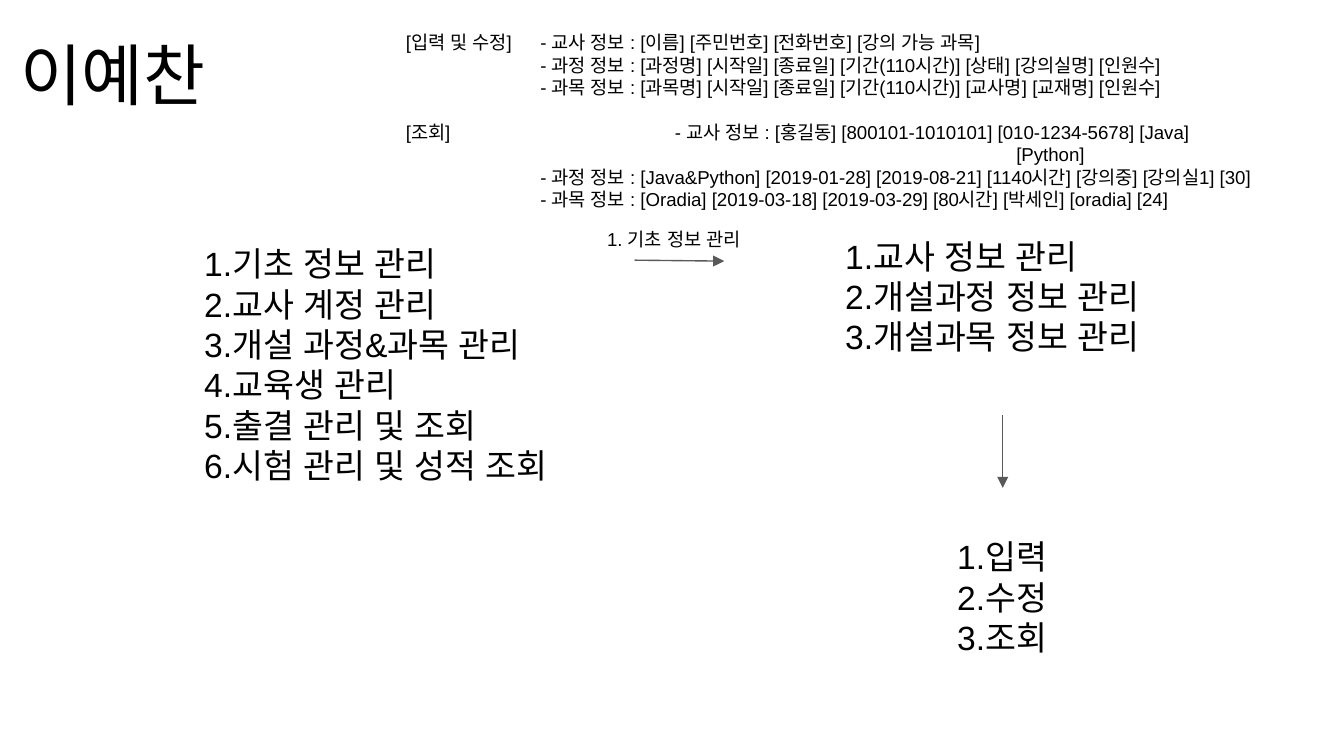
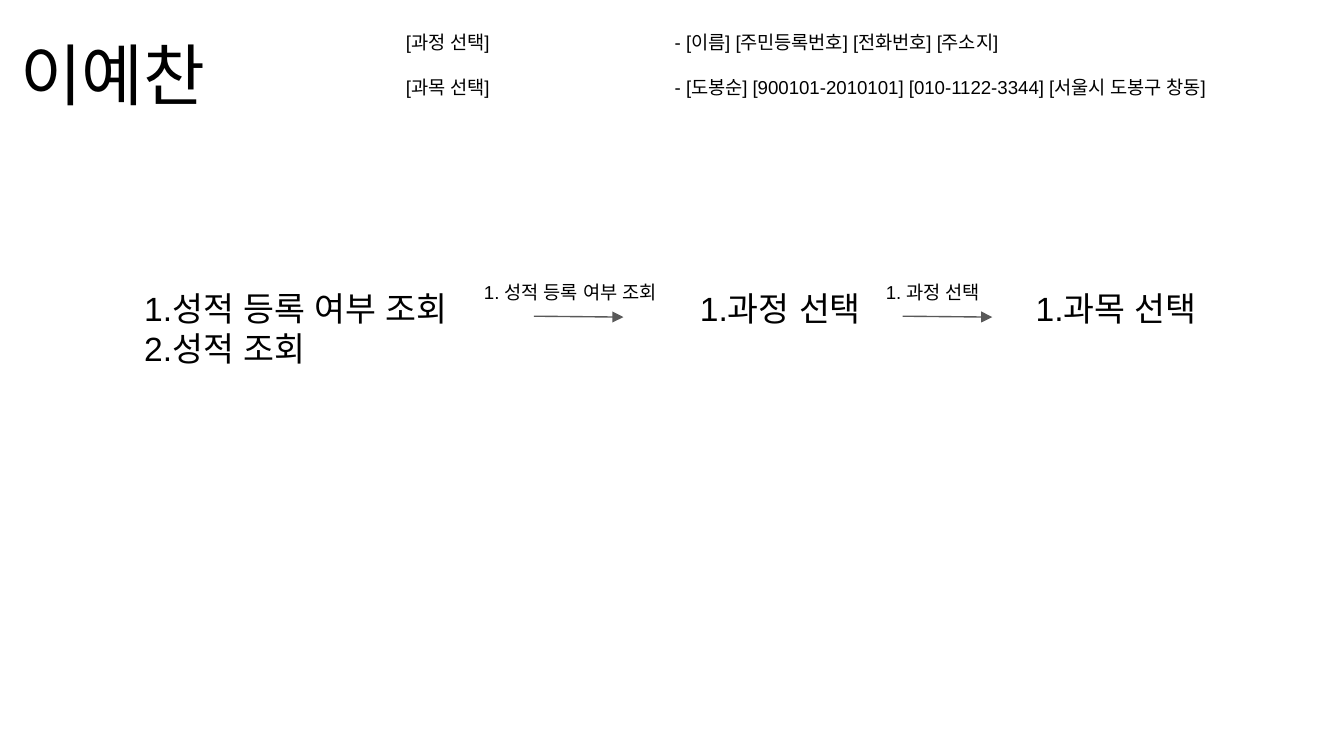
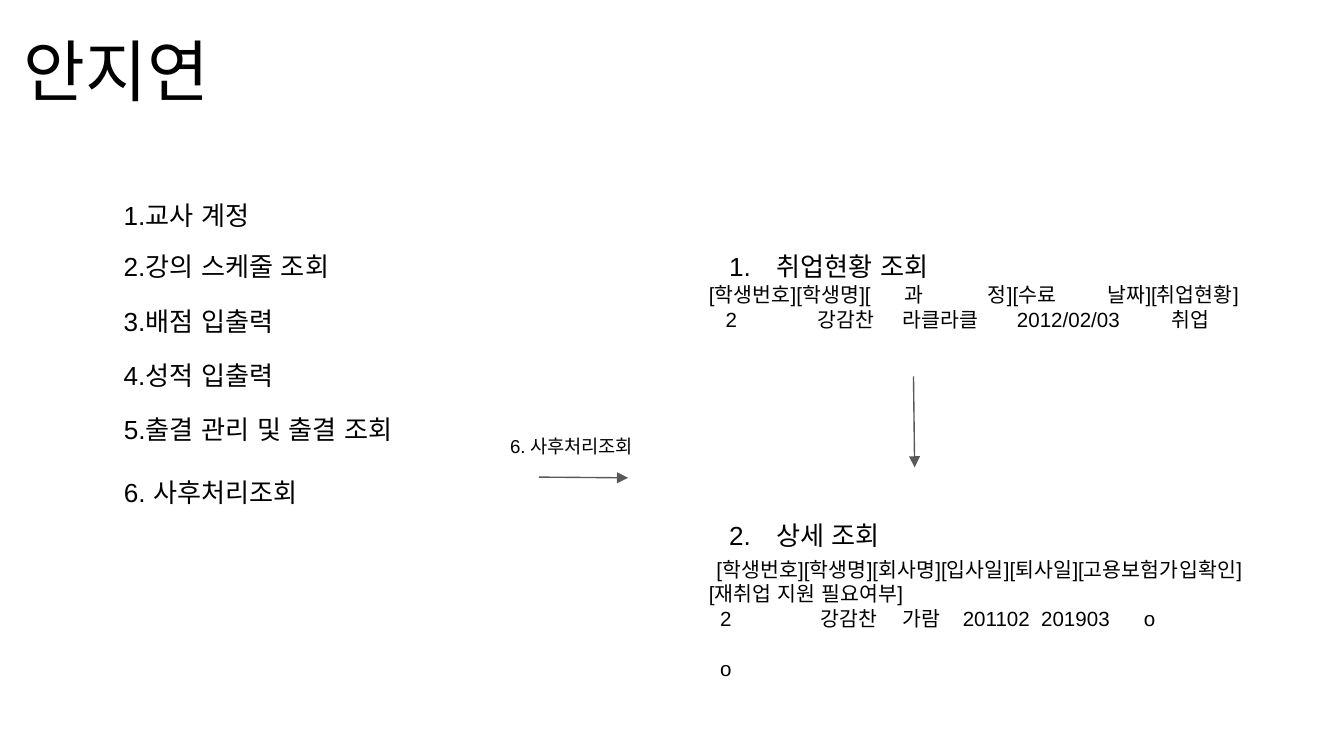
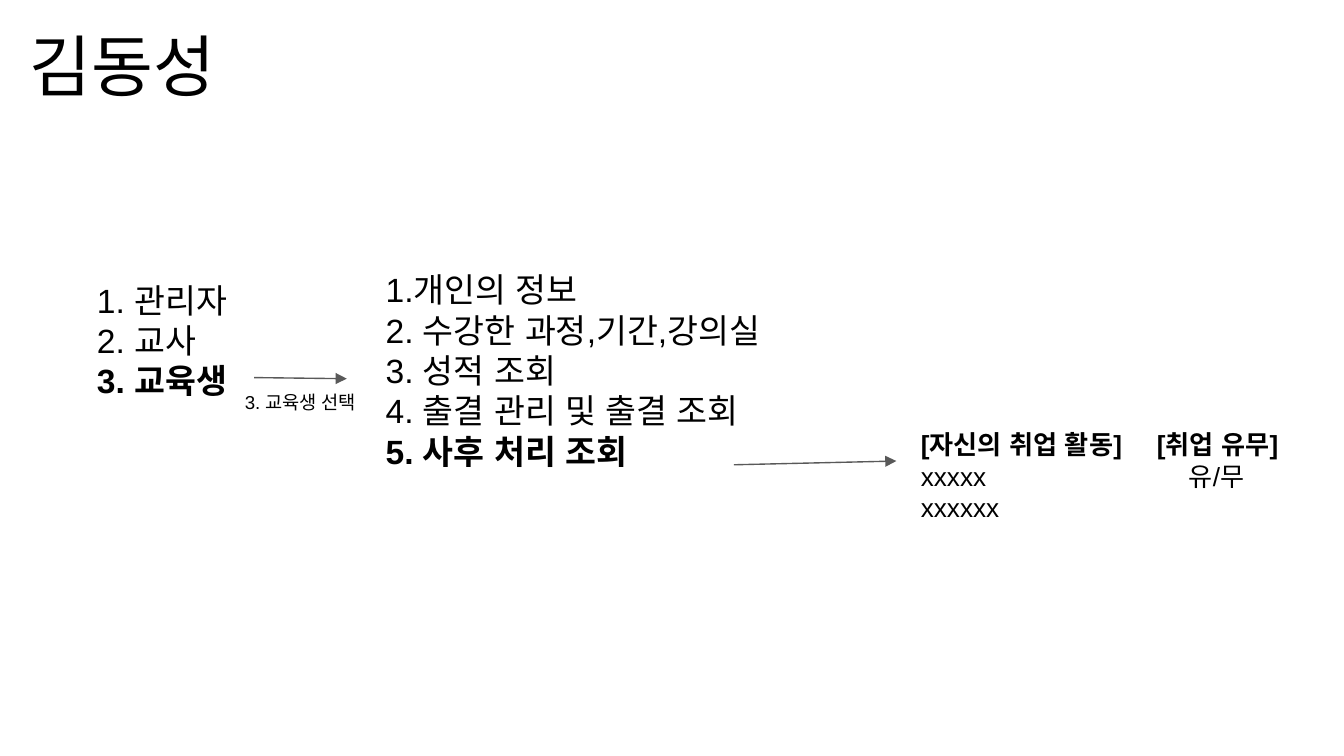
from dataclasses import dataclass

from lxml.etree import SubElement
from pptx import Presentation
from pptx.dml.color import RGBColor
from pptx.enum.shapes import MSO_CONNECTOR
from pptx.enum.text import MSO_ANCHOR, MSO_AUTO_SIZE, PP_ALIGN
from pptx.oxml.ns import qn
from pptx.util import Pt

BLACK = RGBColor(0x00, 0x00, 0x00)
GREY = RGBColor(0x59, 0x59, 0x59)
WHITE = RGBColor(0xFF, 0xFF, 0xFF)
FONT = "Arial"
INSET = 7.2
TITLE_SIZE = 36
MENU_SIZE = 18
ITEM_SIZE = 14
TABLE_SIZE = 11
NOTE_SIZE = 10
NOTE_TABS = (72, 144)
MENU_WIDTH = 206.6
LABEL_WIDTH = 191.5
LABEL_HEIGHT = 24.5


@dataclass
class Line:
    text: str
    size: float = MENU_SIZE
    bold: bool = False
    left: float = 0
    first: float = 0
    before: float = 0
    tabs: tuple = ()
    number: int = 0
    align: PP_ALIGN = PP_ALIGN.LEFT


def format_paragraph(paragraph, line):
    paragraph.text = line.text
    paragraph.alignment = line.align
    paragraph.line_spacing = 1.0
    paragraph.space_before = Pt(line.before)
    paragraph.space_after = Pt(0)
    font = paragraph.font
    font.size = Pt(line.size)
    font.bold = line.bold
    font.color.rgb = BLACK
    font.name = FONT

    properties = paragraph._p.get_or_add_pPr()
    defaults = properties.find(qn("a:defRPr"))
    SubElement(defaults, qn("a:ea")).set("typeface", FONT)
    if line.number:
        bullet = SubElement(properties, qn("a:buAutoNum"))
        bullet.set("type", "arabicPeriod")
        bullet.set("startAt", str(line.number))
    else:
        bullet = SubElement(properties, qn("a:buNone"))
    defaults.addprevious(bullet)
    if line.tabs:
        tab_list = SubElement(properties, qn("a:tabLst"))
        for position in line.tabs:
            tab = SubElement(tab_list, qn("a:tab"))
            tab.set("pos", str(Pt(position)))
            tab.set("algn", "l")
        defaults.addprevious(tab_list)
    else:
        properties.set("marL", str(Pt(line.left)))
        properties.set("indent", str(Pt(line.first)))


def fill_text(shape, box, lines, anchor=MSO_ANCHOR.TOP):
    shape.left, shape.top, shape.width, shape.height = map(Pt, box)
    frame = shape.text_frame
    frame.word_wrap = True
    frame.auto_size = MSO_AUTO_SIZE.NONE
    frame.vertical_anchor = anchor
    frame.margin_left = frame.margin_right = Pt(INSET)
    frame.margin_top = frame.margin_bottom = Pt(INSET)
    for index, line in enumerate(lines):
        paragraph = frame.add_paragraph() if index else frame.paragraphs[0]
        format_paragraph(paragraph, line)


def add_text(slide, box, lines):
    fill_text(slide.shapes.add_textbox(*map(Pt, box)), box, lines)


def add_label(slide, left, top, text, width=LABEL_WIDTH, height=LABEL_HEIGHT):
    add_text(slide, (left, top, width, height), [Line(text, NOTE_SIZE, left=36)])


def add_arrow(slide, start, end):
    arrow = slide.shapes.add_connector(
        MSO_CONNECTOR.STRAIGHT, *map(Pt, start), *map(Pt, end)
    )
    arrow.line.color.rgb = GREY
    arrow.line.width = Pt(0.75)
    SubElement(arrow.line._get_or_add_ln(), qn("a:tailEnd")).set("type", "triangle")
    SubElement(arrow._element.spPr, qn("a:effectLst"))


def add_slide(presentation, name, title_box, body_box, body_lines, align=PP_ALIGN.LEFT):
    slide = presentation.slides.add_slide(presentation.slide_layouts[1])
    title_line = Line(name, TITLE_SIZE, align=align)
    fill_text(slide.shapes.title, title_box, [title_line], MSO_ANCHOR.BOTTOM)
    fill_text(slide.placeholders[1], body_box, body_lines)
    return slide


def menu(*texts):
    return [Line(text) for text in texts]


def note(text, **options):
    return Line(text, NOTE_SIZE, **options)


def note_item(text):
    return note(text, left=36, first=36)


def build_basic_information(presentation, title_box):
    slide = add_slide(
        presentation, "이예찬", title_box, (102.2, 123.1, 275.8, 188.6),
        menu("1.기초 정보 관리", "2.교사 계정 관리", "3.개설 과정&과목 관리",
             "4.교육생 관리", "5.출결 관리 및 조회", "6.시험 관리 및 성적 조회"),
    )
    add_text(slide, (445.7, 119, MENU_WIDTH, 80.6),
             menu("1.교사 정보 관리", "2.개설과정 정보 관리", "3.개설과목 정보 관리"))
    add_text(slide, (505.7, 280.1, MENU_WIDTH, 80.6),
             menu("1.입력", "2.수정", "3.조회"))
    add_label(slide, 282.2, 114.8, "1. 기초 정보 관리")
    add_arrow(slide, (340, 139.4), (388, 139.9))
    add_arrow(slide, (537.2, 222.5), (537.2, 261.4))
    add_text(slide, (210.4, 9.4, 502.6, 109.4), [
        note("[입력 및 수정]\t- 교사 정보 : [이름] [주민번호] [전화번호] [강의 가능 과목]", tabs=NOTE_TABS),
        note_item("- 과정 정보 : [과정명] [시작일] [종료일] [기간(110시간)] [상태] [강의실명] [인원수]"),
        note_item("- 과목 정보 : [과목명] [시작일] [종료일] [기간(110시간)] [교사명] [교재명] [인원수]"),
        note("[조회]\t\t- 교사 정보 : [홍길동] [800101-1010101] [010-1234-5678] [Java]",
             before=12, tabs=NOTE_TABS),
        note("[Python]", left=327),
        note_item("- 과정 정보 : [Java&Python] [2019-01-28] [2019-08-21] [1140시간] [강의중] [강의실1] [30]"),
        note_item("- 과목 정보 : [Oradia] [2019-03-18] [2019-03-29] [80시간] [박세인] [oradia] [24]"),
    ])


def build_grade_check(presentation, title_box):
    menu_top = 147
    slide = add_slide(
        presentation, "이예찬", title_box, (70, menu_top, MENU_WIDTH, 80.6),
        menu("1.성적 등록 여부 조회", "2.성적 조회"),
    )
    for left, text in ((367.9, "1.과정 선택"), (547.7, "1.과목 선택")):
        add_text(slide, (left, menu_top, MENU_WIDTH, 43.2), menu(text))
    steps = ((216.2, 286, "1. 성적 등록 여부 조회"), (431.5, 483.6, "1. 과정 선택"))
    for label_left, arrow_left, text in steps:
        add_label(slide, label_left, 143.3, text)
        add_arrow(slide, (arrow_left, 169.4), (arrow_left + 48, 169.9))
    add_text(slide, (210.4, 9.4, 515.5, 58.3), [
        note("[과정 선택]\t\t- [이름] [주민등록번호] [전화번호] [주소지]", tabs=NOTE_TABS),
        note("[과목 선택]\t\t- [도봉순] [900101-2010101] [010-1122-3344] [서울시 도봉구 창동]",
             before=12, tabs=NOTE_TABS),
    ])


def build_employment(presentation):
    item_left, item_width, item_height = 59.2, 200.9, 27.4
    slide = add_slide(
        presentation, "안지연", (0, 3.6, 124.6, 62.6),
        (item_left, 214.3, item_width, item_height),
        [Line("5.출결 관리 및 출결 조회", ITEM_SIZE),
         Line("6. 사후처리조회", ITEM_SIZE, before=16.8)],
        PP_ALIGN.CENTER,
    )
    items = (
        (99.8, "1.교사 계정"),
        (127.1, "2.강의 스케줄 조회"),
        (156.2, "3.배점 입출력"),
        (185.2, "4.성적 입출력"),
    )
    for top, text in items:
        add_text(slide, (item_left, top, item_width, item_height), [Line(text, ITEM_SIZE)])

    numbered = {"size": ITEM_SIZE, "left": 36, "first": -25.2}
    detail_tabs = (6, 60, 103.5, 136, 178, 233)
    add_text(slide, (372.7, 127.1, 355, 27.4), [
        Line("취업현황 조회", number=1, **numbered),
        Line("[학생번호][학생명][\t과\t정][수료\t날짜][취업현황]",
             TABLE_SIZE, tabs=(105, 149.5, 213.5)),
        Line("\t2\t강감찬\t라클라클\t2012/02/03\t취업",
             TABLE_SIZE, tabs=(9, 58, 103.5, 165, 248)),
        Line("상세 조회", number=2, before=100.8, **numbered),
        Line("[학생번호][학생명][회사명][입사일][퇴사일][고용보험가입확인]",
             TABLE_SIZE, first=4, before=3),
        Line("[재취업 지원 필요여부]", TABLE_SIZE),
        Line("\t2\t강감찬\t가람\t201102\t201903\to", TABLE_SIZE, tabs=detail_tabs),
        Line("\to", TABLE_SIZE, tabs=detail_tabs, before=13.5),
    ])
    add_label(slide, 230.2, 225.7, "6. 사후처리조회", width=item_width)
    add_arrow(slide, (288.7, 255.6), (336.5, 256))
    add_arrow(slide, (489.4, 201.6), (490, 250.4))


def build_student(presentation):
    slide = add_slide(
        presentation, "김동성", (8.6, 16.6, 144, 46.8), (199.4, 137, 266.4, 262.1),
        menu("1.개인의 정보", "2. 수강한 과정,기간,강의실", "3. 성적 조회",
             "4. 출결 관리 및 출결 조회") + [Line("5. 사후 처리 조회", bold=True)],
    )
    add_text(slide, (8.9, 142.6, 177.1, 164.9), [
        Line("1. 관리자", left=36),
        Line("2. 교사", left=36),
        Line("3. 교육생", left=36, bold=True),
    ])
    add_label(slide, 88.1, 202.3, "3. 교육생 선택", width=125.3, height=34.6)
    add_arrow(slide, (136.1, 202.3), (185.8, 202.9))
    add_arrow(slide, (393.2, 249), (480.2, 247))
    add_text(slide, (486.2, 222.5, 317.5, 116.6), [
        Line("[자신의 취업 활동]\t[취업 유무]", ITEM_SIZE, bold=True, tabs=(126.5,)),
        Line("xxxxx\t유/무", ITEM_SIZE, tabs=(143.5,)),
        Line("xxxxxx", ITEM_SIZE),
    ])


def main():
    presentation = Presentation()
    presentation.slide_width = Pt(720)
    presentation.slide_height = Pt(405)
    background = presentation.slide_master.background.fill
    background.solid()
    background.fore_color.rgb = WHITE
    title_box = (3.6, 13, 169.9, 55.4)
    build_basic_information(presentation, title_box)
    build_grade_check(presentation, title_box)
    build_employment(presentation)
    build_student(presentation)
    presentation.save("out.pptx")


if __name__ == "__main__":
    main()
